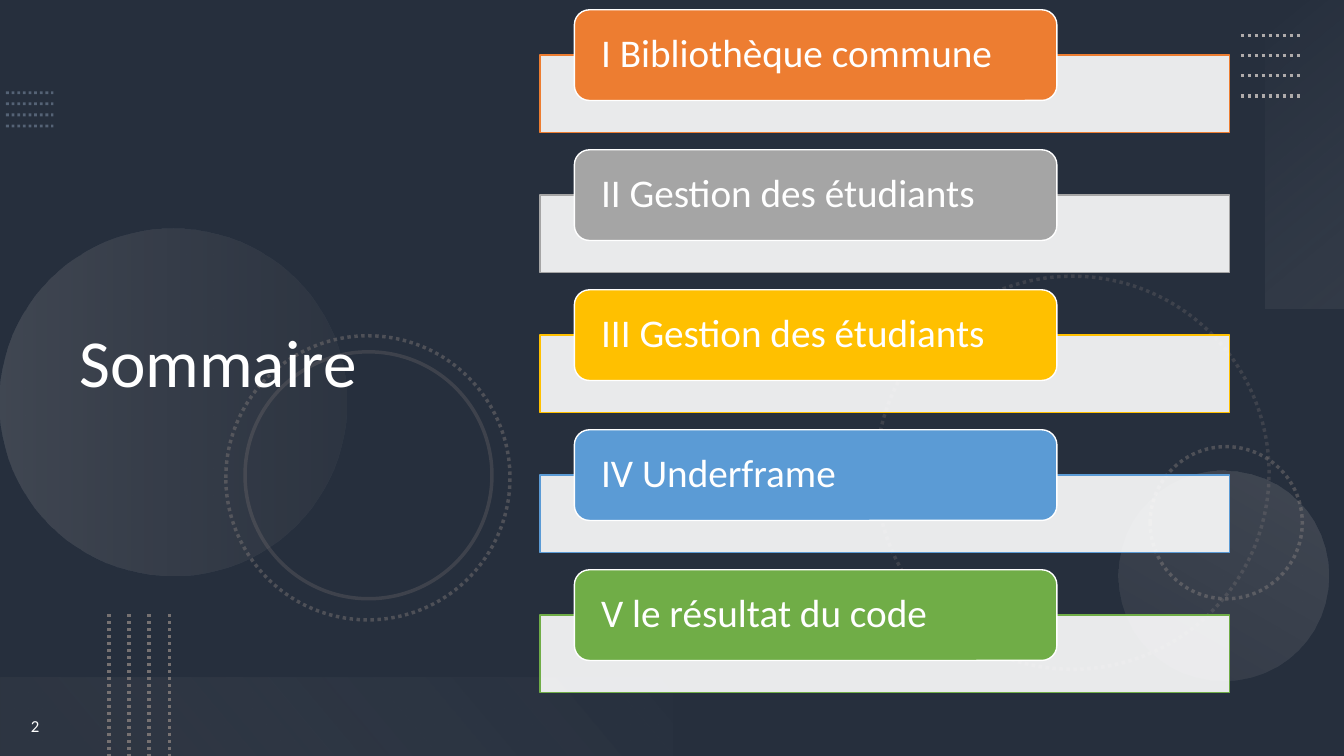
"""Build the "Sommaire" agenda slide."""
from lxml import etree
from pptx import Presentation
from pptx.dml.color import RGBColor
from pptx.enum.dml import MSO_LINE
from pptx.enum.shapes import MSO_CONNECTOR, MSO_SHAPE
from pptx.enum.text import MSO_ANCHOR, PP_ALIGN
from pptx.oxml.ns import qn
from pptx.util import Pt

RECT, ROUND, OVAL = MSO_SHAPE.RECTANGLE, MSO_SHAPE.ROUNDED_RECTANGLE, MSO_SHAPE.OVAL
STRAIGHT = MSO_CONNECTOR.STRAIGHT
DOT, SOLID = MSO_LINE.ROUND_DOT, MSO_LINE.SOLID
MIDDLE = MSO_ANCHOR.MIDDLE
LEFT, CENTER = PP_ALIGN.LEFT, PP_ALIGN.CENTER

SLATE = RGBColor(0x52, 0x65, 0x82)
BLACK = RGBColor(0, 0, 0)
WHITE = RGBColor(0xFF, 0xFF, 0xFF)
STEEL = RGBColor(0x84, 0x97, 0xB0)
STONE = RGBColor(0x76, 0x71, 0x71)
SILVER = RGBColor(0xAF, 0xAB, 0xAB)
SMOKE = RGBColor(0xF5, 0xF5, 0xF5)
PEARL = RGBColor(0xF1, 0xF0, 0xF0)
ORANGE = RGBColor(0xED, 0x7D, 0x31)
GREY = RGBColor(0xA5, 0xA5, 0xA5)
GOLD = RGBColor(0xFF, 0xC0, 0x00)
BLUE = RGBColor(0x5B, 0x9B, 0xD5)
GREEN = RGBColor(0x70, 0xAD, 0x47)

WIDTH, HEIGHT = 960, 540
FONT = "Calibri"
PITCH = 100
TOPICS = [
    ("I Bibliothèque commune", ORANGE),
    ("II Gestion des étudiants", GREY),
    ("III Gestion des étudiants", GOLD),
    ("IV Underframe", BLUE),
    ("V le résultat du code", GREEN),
]
RINGS = [
    (625.7, 197.3, 280.8, DOT, 30),
    (821.5, 319, 108.7, DOT, 50),
    (161.3, 239.8, 203, DOT, 50),
    (175, 251.3, 176.4, SOLID, 30),
]
GLOWS = [
    (OVAL, (0, 163.4, 247.7, 247.7), 270, 90, [(0, SILVER, 20), (1, STONE, 10)]),
    (OVAL, (799.2, 336.2, 149.8, 149.8), 210, 90, [(0, SILVER, 10), (1, SILVER, 20)]),
    (RECT, (822.2, 82.1, 220.3, 56.2), 270, 140, [(0, SMOKE, 0), (1, SILVER, 10)]),
    (RECT, (0, 483.8, 480.2, 56.2), 180, 140, [(0.1, STONE, 10), (1, PEARL, 0)]),
]
DASHES = [
    ((4.3, 66.2, 38.2, 66.2), (0, 7.92), STEEL, 2, 50),
    ((886.3, 25.2, 929.5, 25.2), (0, 14.4), SILVER, 2.5, 100),
    ((77.8, 438.5, 77.8, 540), (14.4, 0), STONE, 2.5, 100),
]


def assign(target, values):
    """Set each named value on the target."""
    for name, value in values.items():
        setattr(target, name, value)


def fade(shape, *alphas):
    """Give the colours of a shape, in order, their opacity in percent."""
    colors = shape._element.spPr.iter(qn("a:srgbClr"))
    for color, alpha in zip(colors, alphas):
        etree.SubElement(color, qn("a:alpha")).set("val", str(alpha * 1000))


def stroke(line, color, width, dash=SOLID):
    """Format a line."""
    line.color.rgb = color
    assign(line, {"width": Pt(width), "dash_style": dash})


def add_form(slide, kind, box, fill=None):
    """Add a preset shape without shadow or line."""
    shape = slide.shapes.add_shape(kind, *map(Pt, box))
    shape.shadow.inherit = False
    shape.line.fill.background()
    if fill is None:
        shape.fill.background()
    else:
        shape.fill.solid()
        shape.fill.fore_color.rgb = fill
    return shape


def add_ring(slide, left, top, size, dash, alpha):
    """Add a faint circle outline."""
    ring = add_form(slide, OVAL, (left, top, size, size))
    stroke(ring.line, STONE, 2.5, dash)
    fade(ring, alpha)


def add_glow(slide, kind, box, turn, angle, stops):
    """Add a shape with a clear gradient."""
    glow = add_form(slide, kind, box)
    glow.rotation = turn
    glow.fill.gradient()
    glow.fill.gradient_angle = 360 - angle
    for stop, (place, color, _) in zip(glow.fill.gradient_stops, stops):
        stop.position = place
        stop.color.rgb = color
    fade(glow, *(alpha for _, _, alpha in stops))


def add_dashes(slide, ends, step, color, width, alpha):
    """Add four evenly spaced dotted lines."""
    for index in range(4):
        points = [end + index * step[axis % 2] for axis, end in enumerate(ends)]
        line = slide.shapes.add_connector(STRAIGHT, *map(Pt, points))
        stroke(line.line, color, width, DOT)
        fade(line, alpha)
        etree.SubElement(line._element.spPr, qn("a:effectLst"))


def write(shape, text, size, inset=7.2, align=LEFT, spacing=0.9):
    """Put white, vertically centred text in a shape."""
    frame = shape.text_frame
    assign(frame, {
        "word_wrap": True, "vertical_anchor": MIDDLE,
        "margin_left": Pt(inset), "margin_right": Pt(inset),
        "margin_top": 0, "margin_bottom": 0,
    })
    para = frame.paragraphs[0]
    assign(para, {"text": text, "alignment": align, "line_spacing": spacing})
    font = para.runs[0].font
    assign(font, {"name": FONT, "size": Pt(size)})
    font.color.rgb = WHITE


def add_topic(slide, index, text, color):
    """Add one agenda entry: a pale bar and a coloured label."""
    top = index * PITCH
    bar = add_form(slide, RECT, (385.7, 39.4 + top, 492.5, 55.4), WHITE)
    stroke(bar.line, color, 1)
    fade(bar, 90)
    label = add_form(slide, ROUND, (410.3, 7 + top, 344.7, 64.8), color)
    stroke(label.line, WHITE, 1)
    write(label, text, 28, 16)


def main():
    """Build and save the slide."""
    deck = Presentation()
    assign(deck, {"slide_width": Pt(WIDTH), "slide_height": Pt(HEIGHT)})
    slide = deck.slides.add_slide(deck.slide_layouts[6])
    back = slide.background.fill
    back.solid()
    back.fore_color.rgb = SLATE
    fade(add_form(slide, RECT, (0, 0, WIDTH, HEIGHT), BLACK), 53)

    for ring in RINGS:
        add_ring(slide, *ring)
    for glow in GLOWS:
        add_glow(slide, *glow)
    for dashes in DASHES:
        add_dashes(slide, *dashes)

    title = slide.shapes.add_textbox(*map(Pt, (49.7, 38.9, 330.5, 444.2)))
    write(title, "Sommaire", 48)
    number = slide.shapes.add_textbox(*map(Pt, (0, 496.8, 50.4, 43.2)))
    write(number, "2", 12, align=CENTER, spacing=1.0)
    for index, topic in enumerate(TOPICS):
        add_topic(slide, index, *topic)
    deck.save("out.pptx")


if __name__ == "__main__":
    main()
